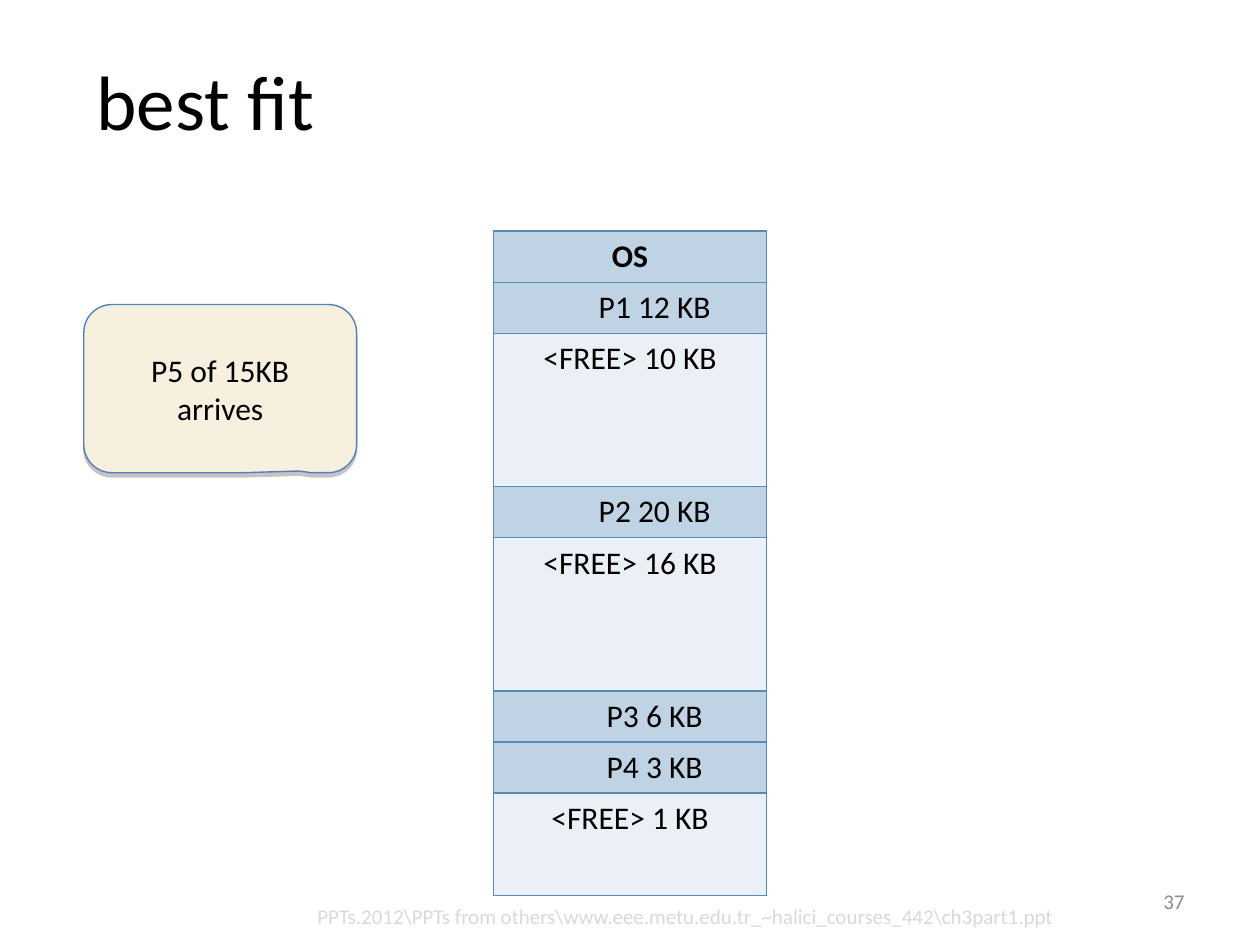
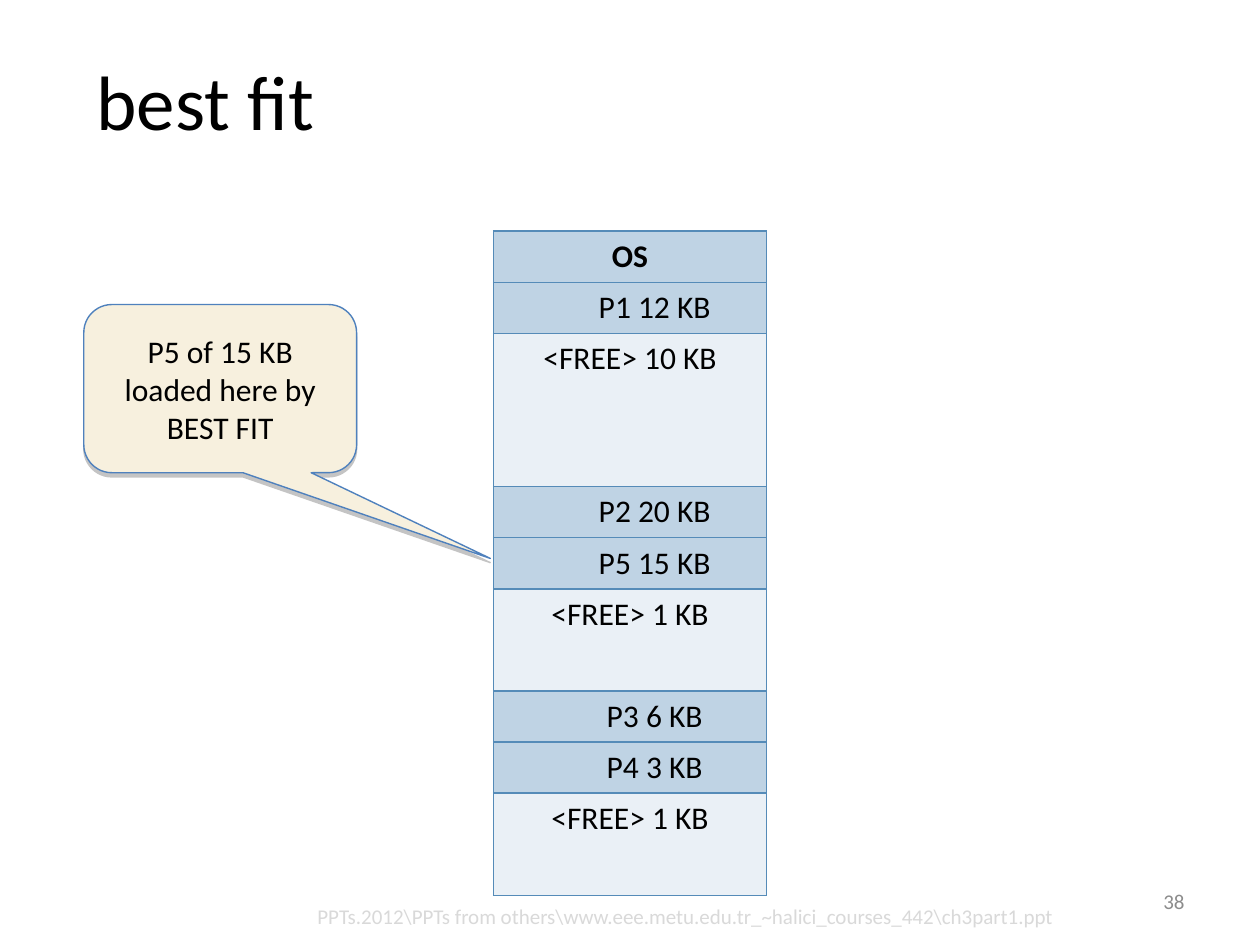
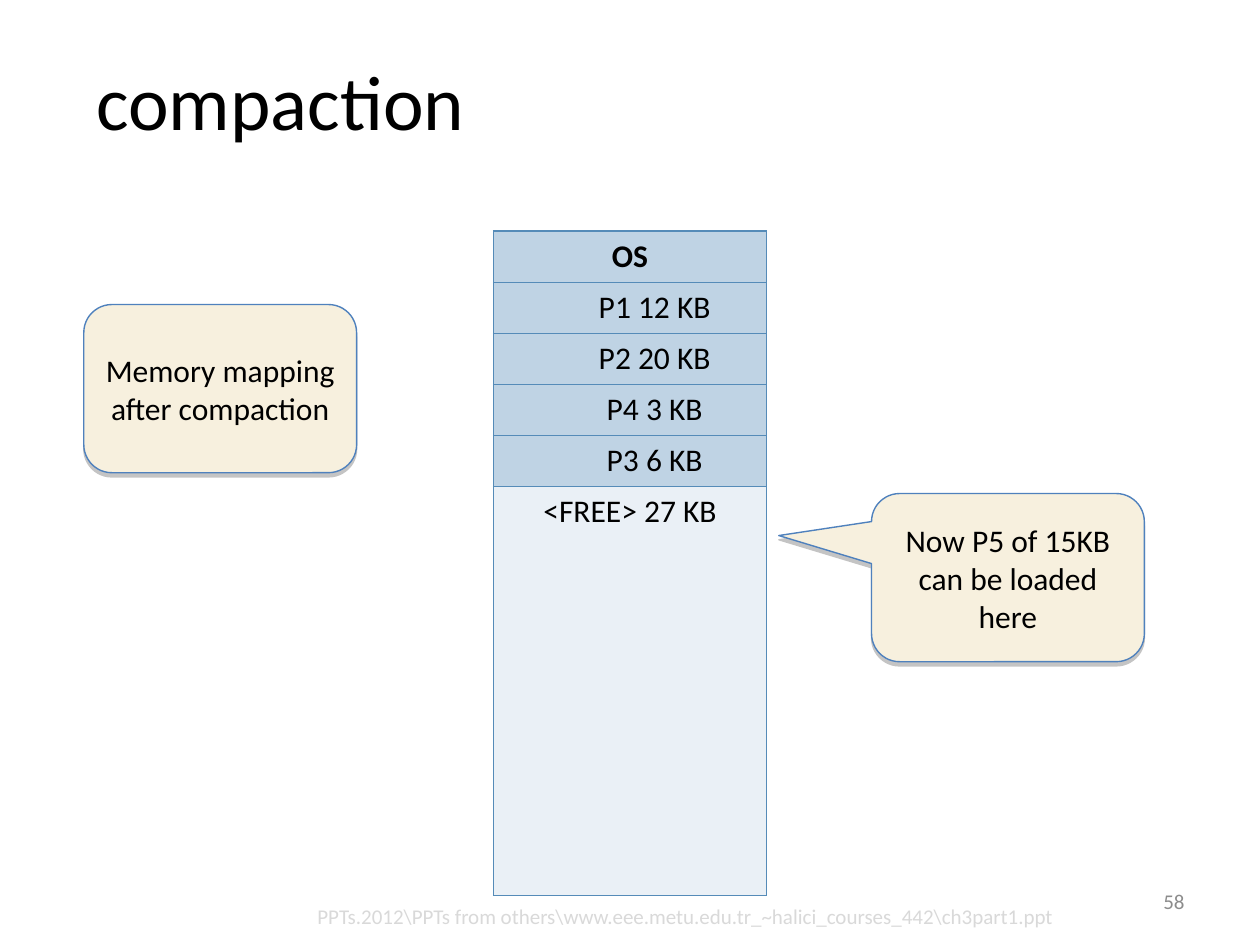
from lxml import etree
from pptx import Presentation
from pptx.dml.color import RGBColor
from pptx.enum.shapes import MSO_SHAPE
from pptx.enum.text import MSO_ANCHOR, PP_ALIGN
from pptx.oxml.ns import qn
from pptx.util import Cm, Pt

CALLOUT = MSO_SHAPE.ROUNDED_RECTANGULAR_CALLOUT
MIDDLE, TOP = MSO_ANCHOR.MIDDLE, MSO_ANCHOR.TOP
LEFT, CENTER, RIGHT = PP_ALIGN.LEFT, PP_ALIGN.CENTER, PP_ALIGN.RIGHT
TITLE_ONLY = 5

COLORS = {
    "text": "000000", "number": "8C8C8C", "source": "D9D9D9",
    "used": "BFD3E4", "free": "EAF0F6", "border": "558BB8",
    "note": "F7F0DE", "edge": "4F81BD", "shadow": "808080",
}
FONT = "Calibri"
SOURCE = r"PPTs.2012\PPTs from others\www.eee.metu.edu.tr_~halici_courses_442\ch3part1.ppt"
ROW = Cm(1.03)
INDENT = Cm(1)  # shifts process names right of the centre
NOTE_SPOT = (1.69, 6.14)

# Each block of memory: label and number of table rows
BEFORE = [("OS", 1), ("P1 12 KB", 1), ("<FREE> 10 KB", 3), ("P2 20 KB", 1),
          ("<FREE> 16 KB", 3), ("P3 6 KB", 1), ("P4 3 KB", 1), ("<FREE> 1 KB", 2)]
LOADED = BEFORE[:4] + [("P5 15 KB", 1), ("<FREE> 1 KB", 2)] + BEFORE[5:]
PACKED = BEFORE[:2] + [("P2 20 KB", 1), ("P4 3 KB", 1), ("P3 6 KB", 1),
                       ("<FREE> 27 KB", 8)]

# Title, page number, memory blocks, notes (place, lines, pointer)
SLIDES = [
    ("best fit", "37", BEFORE,
     [(NOTE_SPOT, ["P5 of 15KB", "arrives"], (0.29, 0.49))]),
    ("best fit", "38", LOADED,
     [(NOTE_SPOT, ["P5 of 15 KB", "loaded here by", "BEST FIT"], (0.99, 1.01))]),
    ("compaction", "58", PACKED,
     [(NOTE_SPOT, ["Memory mapping after compaction"], (0.24, 0.5)),
      ((17.57, 9.95), ["Now P5 of 15KB can be loaded here"], (-0.84, -0.25))]),
]


def color(name):
    return RGBColor.from_string(COLORS[name])


def write(frame, lines, size, tint="text", align=LEFT, anchor=MIDDLE, bold=False):
    frame.text = "\n".join(lines)
    frame.word_wrap = True
    frame.vertical_anchor = anchor
    for par in frame.paragraphs:
        par.alignment = align
        par.font.name = FONT
        par.font.size = Pt(size)
        par.font.bold = bold
        par.font.color.rgb = color(tint)


def add_title(slide, text):
    title = slide.shapes.title
    title.left, title.top = Cm(1.69), Cm(0.64)
    title.width, title.height = Cm(22.65), Cm(2.75)
    write(title.text_frame, [text], 44)


def add_label(slide, box, text, tint, align, anchor):
    label = slide.shapes.add_textbox(*map(Cm, box))
    write(label.text_frame, [text], 12, tint, align, anchor)


def set_border(cell, sides):
    """Draw the listed sides (of L, R, T, B) and clear the others."""
    props = cell._tc.get_or_add_tcPr()
    for side in "LRTB":
        line = etree.SubElement(props, qn(f"a:ln{side}"), w=str(Pt(1)))
        if side in sides:
            fill = etree.SubElement(line, qn("a:solidFill"))
            etree.SubElement(fill, qn("a:srgbClr"), val=COLORS["border"])
        else:
            etree.SubElement(line, qn("a:noFill"))


def add_memory(slide, blocks):
    count = sum(rows for _, rows in blocks)
    table = slide.shapes.add_table(count, 1, Cm(9.95), Cm(4.66),
                                   Cm(5.5), ROW * count).table
    table.first_row = table.horz_banding = False
    index = 0
    for text, rows in blocks:
        free = text.startswith("<FREE>")
        for part in range(rows):
            cell = table.cell(index, 0)
            table.rows[index].height = ROW
            top = "T" if part == 0 else ""
            bottom = "B" if part == rows - 1 else ""
            set_border(cell, "LR" + top + bottom)
            cell.fill.solid()
            cell.fill.fore_color.rgb = color("free" if free else "used")
            if part == 0:
                write(cell.text_frame, [text], 18, align=CENTER, anchor=TOP,
                      bold=text == "OS")
            if text.startswith("P"):
                cell.margin_left = Cm(0.25) + INDENT
            index += 1


def add_shadow(shape):
    shape.shadow.inherit = False
    effects = shape._element.spPr.find(qn("a:effectLst"))
    outer = etree.SubElement(effects, qn("a:outerShdw"), blurRad="0",
                             dist=str(Pt(2.4)), dir="5400000", rotWithShape="0")
    tint = etree.SubElement(outer, qn("a:srgbClr"), val=COLORS["shadow"])
    etree.SubElement(tint, qn("a:alpha"), val="45000")


def add_note(slide, spot, lines, tip):
    left, top = spot
    note = slide.shapes.add_shape(CALLOUT, Cm(left), Cm(top), Cm(5.5), Cm(3.39))
    note.adjustments[0], note.adjustments[1] = tip
    note.fill.solid()
    note.fill.fore_color.rgb = color("note")
    note.line.color.rgb = color("edge")
    note.line.width = Pt(0.79)
    add_shadow(note)
    write(note.text_frame, lines, 18, align=CENTER)


def main():
    deck = Presentation()
    deck.slide_width, deck.slide_height = Cm(25.4), Cm(19.05)
    for title, number, blocks, notes in SLIDES:
        slide = deck.slides.add_slide(deck.slide_layouts[TITLE_ONLY])
        add_title(slide, title)
        add_memory(slide, blocks)
        for spot, lines, tip in notes:
            add_note(slide, spot, lines, tip)
        # Footer
        add_label(slide, (18.2, 17.65, 5.93, 1.02), number, "number", RIGHT, MIDDLE)
        add_label(slide, (6.15, 18.08, 15.47, 0.76), SOURCE, "source", LEFT, TOP)
    deck.save("out.pptx")


if __name__ == "__main__":
    main()
